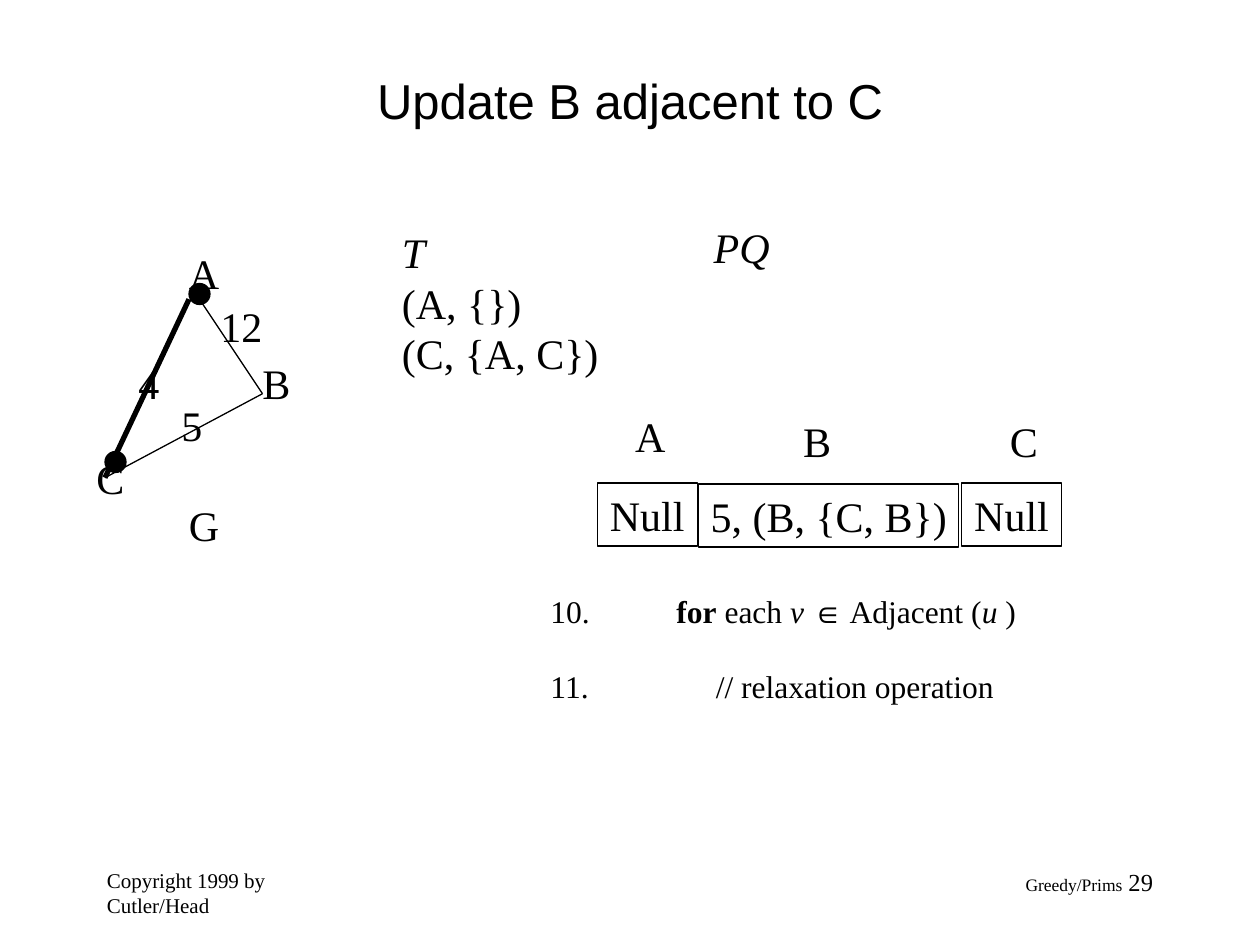
from lxml.etree import SubElement
from pptx import Presentation
from pptx.dml.color import RGBColor
from pptx.enum.shapes import MSO_CONNECTOR, MSO_SHAPE
from pptx.enum.text import MSO_ANCHOR, PP_ALIGN
from pptx.oxml.ns import qn
from pptx.util import Inches, Pt

BLACK = RGBColor(0, 0, 0)
SERIF, SANS = "Times New Roman", "Arial"

presentation = Presentation()
presentation.slide_width, presentation.slide_height = Inches(10), Inches(7.5)
slide = presentation.slides.add_slide(presentation.slide_layouts[5])
CELL = presentation.slide_width / 120  # grid of 120 columns by 90 rows


def grid(*cells):
    return [round(cell * CELL) for cell in cells]


def write(shape, lines, size=24, wrap=False):
    """Fill a shape with lines, each a list of (text, style) runs."""
    frame = shape.text_frame
    frame.word_wrap = wrap
    frame.vertical_anchor = MSO_ANCHOR.TOP
    for index, line in enumerate(lines):
        paragraph = frame.paragraphs[0] if index == 0 else frame.add_paragraph()
        paragraph.alignment = PP_ALIGN.LEFT
        for text, style in line:
            run = paragraph.add_run()
            run.text = text
            run.font.size, run.font.name = Pt(size), SERIF
            run.font.color.rgb = BLACK
            run.font.bold, run.font.italic = style == "bold", style == "italic"
    return frame


# Title
title = slide.shapes.title
title.left, title.top, title.width, title.height = grid(9, 4, 102, 11)
title.text_frame.text = "Update B adjacent to C"
title.text_frame.vertical_anchor = MSO_ANCHOR.MIDDLE
heading = title.text_frame.paragraphs[0]
heading.alignment = PP_ALIGN.CENTER
heading.font.size, heading.font.name = Pt(28), SANS
heading.font.color.rgb = BLACK

# Footer
copyright_box = slide.shapes.add_textbox(*grid(9, 82, 25, 6))
write(copyright_box, [[("Copyright 1999 by Cutler/Head", "")]], 12, wrap=True)
page_box = slide.shapes.add_textbox(*grid(86, 82, 25, 6))
page = write(page_box, [[("Greedy/Prims", ""), (" 29", "")]], 10, wrap=True).paragraphs[0]
page.alignment = PP_ALIGN.RIGHT
page.runs[1].font.size = Pt(14)

# Tree T and the priority queue heading
tree_box = slide.shapes.add_textbox(*grid(37.1, 21, 21.1, 15.6))
write(tree_box, [[("T", "italic")], [("(A, {})", "")], [("(C, {A, C})", "")]])
queue_box = slide.shapes.add_textbox(*grid(66.8, 20.5, 7.7, 6))
write(queue_box, [[("PQ", "italic")]])

# Priority queue entries
for text, left, top, width in [
    ("Null", 56.9, 46, 9.5),
    ("5, (B, {C, B})", 66.5, 46.1, 24.8),
    ("Null", 91.6, 46, 9.5),
]:
    entry = slide.shapes.add_shape(MSO_SHAPE.RECTANGLE, *grid(left, top, width, 6))
    entry.shadow.inherit = False
    entry.fill.background()
    entry.line.color.rgb, entry.line.width = BLACK, Pt(0.75)
    write(entry, [[(text, "")]])

# Pseudocode
code_box = slide.shapes.add_textbox(*grid(51.25, 55.8, 46.8, 12))
code = write(code_box, [
    [("10.\t", ""), ("for", "bold"), (" each ", ""), ("v ", "italic"), ("∈", ""),
     (" Adjacent (", ""), ("u", "italic"), (" )", "")],
    [("11.\t", ""), ("// relaxation operation", "")],
], 18)
code.paragraphs[0].runs[4].font.name = SANS
code.paragraphs[1].space_before = Pt(21.5)
for paragraph, tab_stop in zip(code.paragraphs, (12, 15.75)):
    tabs = SubElement(paragraph._p.get_or_add_pPr(), qn("a:tabLst"))
    SubElement(tabs, qn("a:tab"), pos=str(grid(tab_stop)[0]), algn="l")

# Graph edges
for start, end, weight in [
    ((18, 28.5), (10, 45.5), 3),
    ((19, 28.5), (25, 37.5), 0.75),
    ((25, 37.5), (10, 45.5), 0.75),
]:
    edge = slide.shapes.add_connector(MSO_CONNECTOR.STRAIGHT, *grid(*start, *end))
    edge.line.color.rgb, edge.line.width = BLACK, Pt(weight)
    SubElement(edge._element.spPr, qn("a:effectLst"))

# Labels of the graph and of the queue entries
for text, left, top, width in [
    ("A", 16.8, 23, 5.3), ("B", 23.8, 33.5, 5), ("C", 8, 42.5, 5),
    ("12", 19.8, 28, 6.4), ("5", 16.1, 37.5, 4.3), ("4", 12, 33.5, 4.3),
    ("G", 16.8, 47, 5.3),
    ("A", 59.3, 38.5, 5.3), ("B", 75.3, 39, 5), ("C", 95, 39, 5),
]:
    label = slide.shapes.add_textbox(*grid(left, top, width, 6))
    write(label, [[(text, "")]])

# Vertices already in the tree
for left, top in [(18, 27), (10, 43)]:
    vertex = slide.shapes.add_shape(MSO_SHAPE.OVAL, *grid(left, top, 2, 2))
    vertex.shadow.inherit = False
    vertex.fill.solid()
    vertex.fill.fore_color.rgb = BLACK
    vertex.line.color.rgb, vertex.line.width = BLACK, Pt(0.75)

presentation.save("out.pptx")
